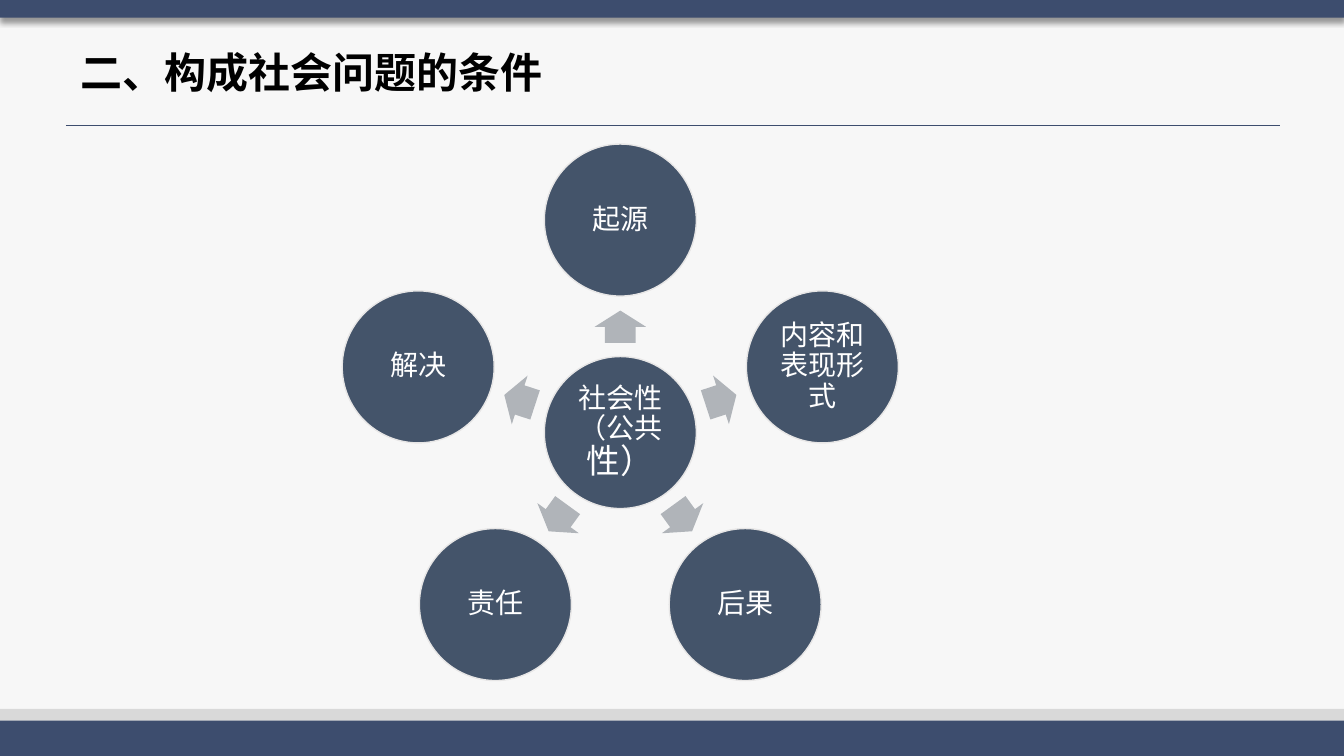
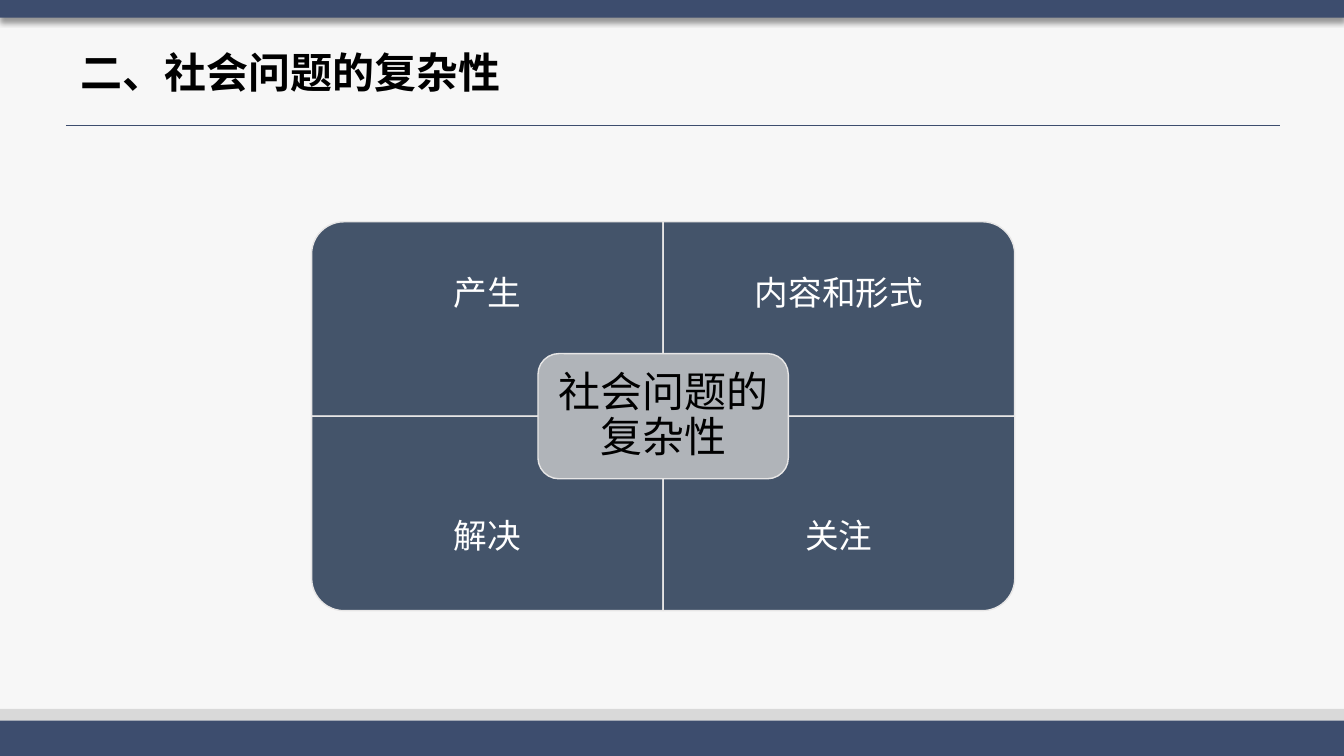
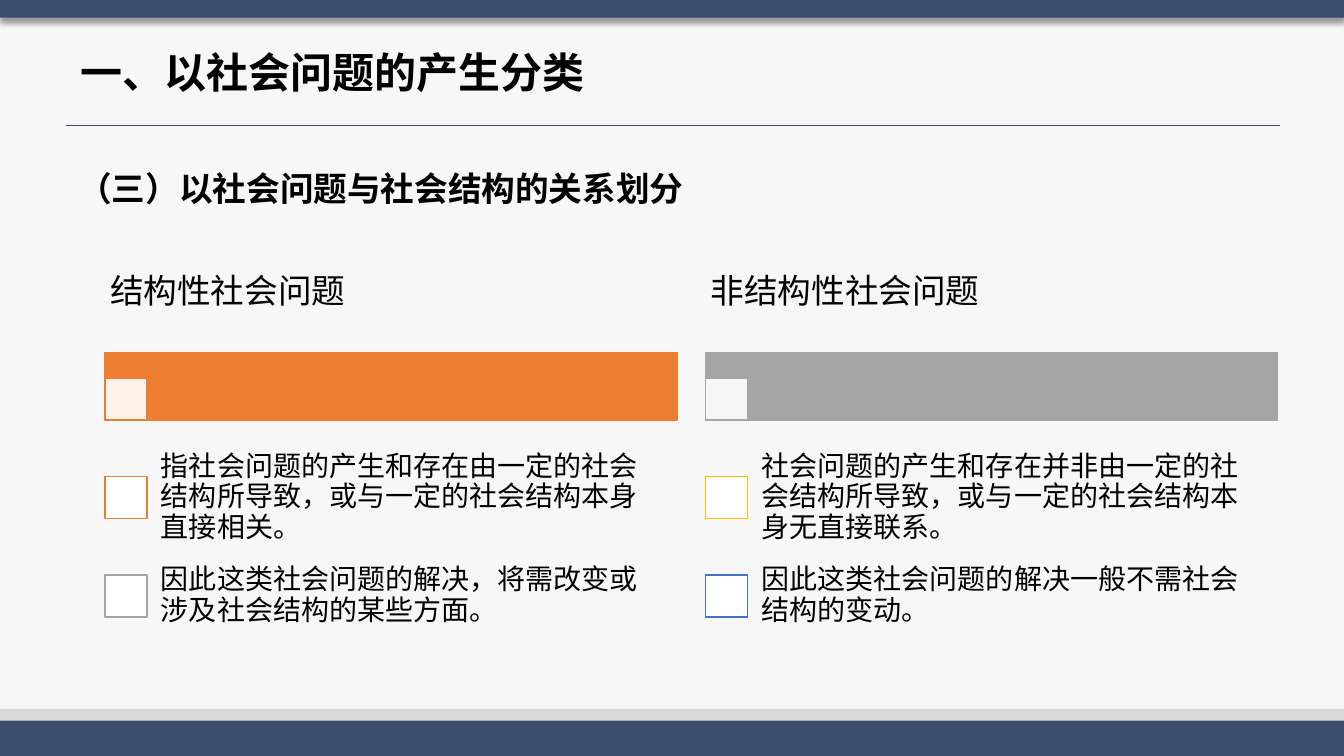
import math
import pptx
import pptx.util
import pptx.oxml
import pptx.oxml.ns
import pptx.dml.color
import pptx.enum.shapes
import pptx.enum.text

Pt = pptx.util.Pt
KIND = pptx.enum.shapes.MSO_SHAPE
ALIGN = pptx.enum.text.PP_ALIGN
ANCHOR = pptx.enum.text.MSO_ANCHOR
hue = pptx.dml.color.RGBColor.from_string
qn = pptx.oxml.ns.qn
DML = 'xmlns:a="http://schemas.openxmlformats.org/drawingml/2006/main"'

NAVY, SLATE, SILVER, PALE = "3D4D6E", "44546A", "B0B4B9", "E7E6E6"
PAPER, BAND, WHITE, BLACK = "F7F7F7", "D9D9D9", "FFFFFF", "000000"
ORANGE, GREY, GOLD, BLUE = "ED7D31", "A5A5A5", "FFC000", "4472C4"
NOTO, BODY = "Noto Sans CJK SC", "Calibri"

deck = pptx.Presentation()
deck.slide_width = pptx.util.Inches(13.33)
deck.slide_height = pptx.util.Inches(7.5)
COL, ROW = deck.slide_width / 160, deck.slide_height / 90


def draw(page, kind, x, y, w, h, fill=None, line=None, turn=0):
    """Add a shape, or a text box if kind is None; lengths in columns and rows."""
    area = [round(n) for n in (x * COL, y * ROW, w * COL, h * ROW)]
    if kind is None:
        return page.shapes.add_textbox(*area)
    shape = page.shapes.add_shape(kind, *area)
    shape.shadow.inherit = False
    shape.rotation = turn
    shape.fill.solid()
    shape.fill.fore_color.rgb = hue(fill)
    if line:
        shape.line.color.rgb = hue(line)
        shape.line.width = Pt(1)
    else:
        shape.line.fill.background()
    return shape


def write(shape, runs, tint=BLACK, face=BODY, bold=False, space=0.9,
          align=ALIGN.LEFT, anchor=ANCHOR.MIDDLE, pad=(0.1, 0.05)):
    """Fill a shape with one paragraph of (text, size) runs; pad in inches."""
    frame = shape.text_frame
    wide, high = [pptx.util.Inches(n) for n in pad]
    look = {"word_wrap": True, "vertical_anchor": anchor,
            "margin_left": wide, "margin_right": wide,
            "margin_top": high, "margin_bottom": high}
    for key, value in look.items():
        setattr(frame, key, value)
    para = frame.paragraphs[0]
    para.alignment, para.line_spacing = align, space
    for text, size in runs:
        run = para.add_run()
        run.text = text
        for key, value in {"size": Pt(size), "bold": bold, "name": face}.items():
            setattr(run.font, key, value)
        run.font.color.rgb = hue(tint)
        east = pptx.oxml.parse_xml(f'<a:ea {DML} typeface="{face}"/>')
        run.font._element.find(qn("a:latin")).addnext(east)


# Shared frame: background, title, rule and bands
pages = []
for title in ("二、构成社会问题的条件", "二、社会问题的复杂性", "一、以社会问题的产生分类"):
    page = deck.slides.add_slide(deck.slide_layouts[6])
    page.background.fill.solid()
    page.background.fill.fore_color.rgb = hue(PAPER)
    write(draw(page, None, 8.35, 4.2, 143.75, 9.5), [(title, 30)], face=NOTO, bold=True)
    draw(page, KIND.RECTANGLE, 0, 84.4, 160, 4.2, BAND)
    draw(page, KIND.RECTANGLE, 0, 85.8, 160, 4.2, NAVY)
    rule = page.shapes.add_connector(
        pptx.enum.shapes.MSO_CONNECTOR.STRAIGHT,
        *[round(n) for n in (7.85 * COL, 14.9 * ROW, 152.4 * COL, 14.9 * ROW)])
    rule.line.color.rgb = hue(NAVY)
    rule.line.width = Pt(0.5)
    rule._element.spPr.append(pptx.oxml.parse_xml(f"<a:effectLst {DML}/>"))
    top = draw(page, KIND.RECTANGLE, 0, 0, 160, 2.1, NAVY)
    top._element.spPr.find(qn("a:effectLst")).append(pptx.oxml.parse_xml(
        f'<a:outerShdw {DML} blurRad="{Pt(4)}" dist="{Pt(3)}" dir="5400000">'
        f'<a:srgbClr val="{BLACK}"><a:alpha val="40000"/></a:srgbClr></a:outerShdw>'))
    pages.append(page)
wheel, quad, split = pages

# Slide 1: hub with five spokes
MIDX, MIDY, DISC, REACH, STEP = 73.85, 51.5, 18.1, 25.3, 12.6
LONG, THICK = 3.85, 6.1
discs = [(MIDX, MIDY, [("社会性（公共", 20), ("性）", 24)])]
for i, name in enumerate(("起源", "内容和表现形式", "后果", "责任", "解决")):
    turn = (270 + 72 * i) % 360
    dx, dy = math.cos(math.radians(turn)), math.sin(math.radians(turn))
    arrow = draw(wheel, KIND.RIGHT_ARROW, MIDX + STEP * dx - LONG / 2,
                 MIDY + STEP * dy - THICK / 2, LONG, THICK, SILVER, turn=turn)
    arrow.adjustments[0], arrow.adjustments[1] = 0.6, 0.5
    discs.append((MIDX + REACH * dx, MIDY + REACH * dy, [(name, 20)]))
for x, y, runs in discs:
    disc = draw(wheel, KIND.OVAL, x - DISC / 2, y - DISC / 2, DISC, DISC, SLATE, PALE)
    write(disc, runs, WHITE, align=ALIGN.CENTER, pad=(0.03, 0.03))

# Slide 2: four quarters around a centre
LEFT, TOP, WIDE, HIGH, TALL = 37.1, 26.4, 41.85, 23.15, 17.4
quarters = (("产生", 270), ("内容和形式", 0), ("解决", 180), ("关注", 90))
for i, (name, turn) in enumerate(quarters):
    row, col = divmod(i, 2)
    x, y = LEFT + col * WIDE, TOP + row * HIGH
    w, h = (HIGH, WIDE) if turn % 180 else (WIDE, HIGH)
    draw(quad, KIND.ROUND_1_RECTANGLE, x + (WIDE - w) / 2, y + (HIGH - h) / 2,
         w, h, SLATE, PALE, turn)
    label = draw(quad, None, x, y + row * (HIGH - TALL), WIDE, TALL)
    write(label, [(name, 24)], WHITE, align=ALIGN.CENTER, pad=(0.19, 0.19))
core = draw(quad, KIND.ROUNDED_RECTANGLE, LEFT + WIDE - 14.9, TOP + HIGH - 7.45,
            29.8, 14.9, SILVER, PALE)
write(core, [("社会问题的复杂性", 30)], align=ALIGN.CENTER, pad=(0.12, 0.12))

# Slide 3: two columns with checked points
write(draw(split, None, 8.15, 17.05, 146.15, 10), [("（三）以社会问题与社会结构的关系划分", 24)],
      face=NOTO, bold=True, space=1.5, anchor=ANCHOR.TOP)
BOX, PITCH = 5, 11.7
sides = (
    ("结构性社会问题", ORANGE, (
        ("指社会问题的产生和存在由一定的社会结构所导致，或与一定的社会结构本身直接相关。", ORANGE),
        ("因此这类社会问题的解决，将需改变或涉及社会结构的某些方面。", GREY))),
    ("非结构性社会问题", GREY, (
        ("社会问题的产生和存在并非由一定的社会结构所导致，或与一定的社会结构本身无直接联系。", GOLD),
        ("因此这类社会问题的解决一般不需社会结构的变动。", BLUE))))
for i, (head, tint, points) in enumerate(sides):
    x = 12.5 + 71.5 * i
    write(draw(split, None, x, 27.6, 68.1, 14.4), [(head, 24)], pad=(0.05, 0.03))
    draw(split, KIND.RECTANGLE, x, 42, 68.1, 8, tint, tint)
    veil = draw(split, KIND.RECTANGLE, x, 50 - BOX, BOX, BOX, WHITE, tint)
    veil._element.spPr.find(qn("a:solidFill"))[0].append(
        pptx.oxml.parse_xml(f'<a:alpha {DML} val="90000"/>'))
    for j, (text, edge) in enumerate(points):
        y = 53.4 + PITCH * j
        draw(split, KIND.RECTANGLE, x, y + (PITCH - BOX) / 2, BOX, BOX, WHITE, edge)
        write(draw(split, None, x + 4.75, y, 63.35, PITCH), [(text, 20)],
              face=NOTO, pad=(0.16, 0.16))

deck.save("out.pptx")
